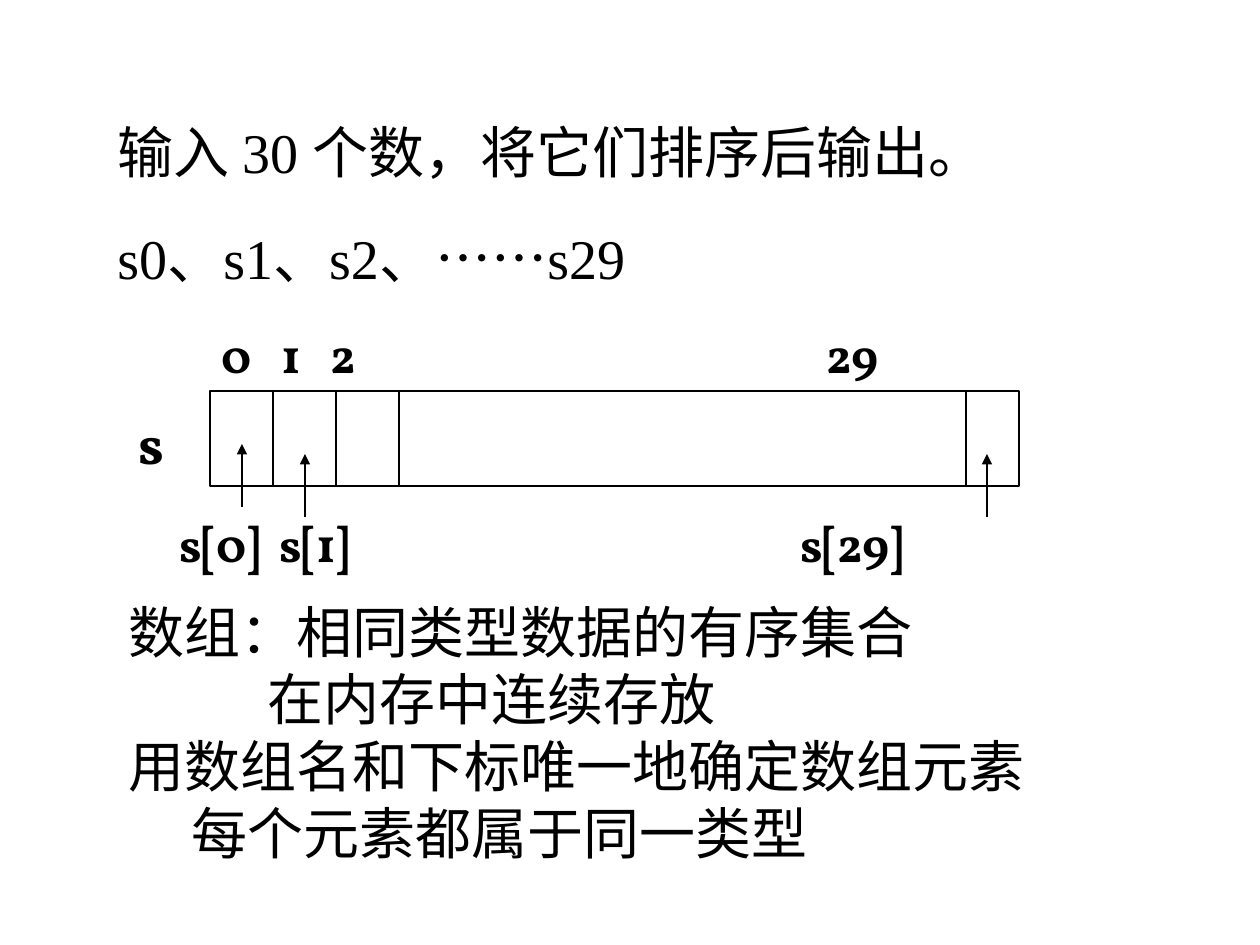
import lxml.etree
import pptx
import pptx.dml.color
import pptx.enum.shapes
import pptx.oxml.ns
import pptx.util

SCALE = 914400 / 126  # EMU in one px
BLACK = pptx.dml.color.RGBColor(0, 0, 0)
CJK_FONT = "Noto Sans CJK SC"
LABEL_FONT = "Vollkorn"
qn = pptx.oxml.ns.qn


def px(value):
    return pptx.util.Emu(round(value * SCALE))


presentation = pptx.Presentation()
presentation.slide_width, presentation.slide_height = px(1260), px(945)
slide = presentation.slides.add_slide(presentation.slide_layouts[6])


def add_text(text, left, top, width, height, font=CJK_FONT, size=32, bold=False,
             line_height=None, indents=(0,)):
    box = slide.shapes.add_textbox(px(left), px(top), px(width), px(height))
    frame = box.text_frame
    frame.word_wrap = True
    frame.text = text
    for paragraph, indent in zip(frame.paragraphs, indents):
        paragraph._p.get_or_add_pPr().set("marL", str(px(indent)))
        if line_height:
            paragraph.line_spacing = pptx.util.Pt(line_height)
        run = paragraph.runs[0]
        run.font.size = pptx.util.Pt(size)
        run.font.bold = bold
        run.font.color.rgb = BLACK
        run.font.name = font
        east_asian = lxml.etree.SubElement(run._r.get_or_add_rPr(), qn("a:ea"))
        east_asian.set("typeface", CJK_FONT)


def add_line(x, start, end, arrow=False):
    line = slide.shapes.add_connector(
        pptx.enum.shapes.MSO_CONNECTOR.STRAIGHT, px(x), px(start), px(x), px(end))
    line.line.color.rgb = BLACK
    line.line.width = pptx.util.Pt(1)
    if arrow:
        lxml.etree.SubElement(line.line._get_or_add_ln(), qn("a:tailEnd")).set("type", "triangle")
    lxml.etree.SubElement(line._element.spPr, qn("a:effectLst"))


# Problem statement and its variables
add_text("输入 30 个数，将它们排序后输出。", 105, 111, 1050, 105,
         font="Times New Roman", line_height=38.4)
add_text("s0、s1、s2、……s29", 105, 217, 1018, 105,
         font="Times New Roman", line_height=38.4)

# Array with its cell dividers
array = slide.shapes.add_shape(
    pptx.enum.shapes.MSO_SHAPE.RECTANGLE, px(210), px(391), px(809), px(95))
array.shadow.inherit = False
array.fill.background()
array.line.color.rgb = BLACK
array.line.width = pptx.util.Pt(1)
for divider_x in (273, 336, 399, 966):
    add_line(divider_x, 391, 486)

# Array name, indices above and element names below
add_text("s", 126, 402, 73, 79, font=LABEL_FONT, bold=True)
for index, left in (("0", 209), ("1", 269), ("2", 318), ("29", 814)):
    add_text(index, left, 318, 90, 71, font=LABEL_FONT, size=28, bold=True)
for element, left in (("s[0]", 167), ("s[1]", 267), ("s[29]", 788)):
    add_text(element, left, 507, 150, 71, font=LABEL_FONT, size=28, bold=True)

# Arrows from the element names to the cells
for arrow_x, start in ((242, 507), (305, 517), (987, 517)):
    add_line(arrow_x, start, start - 63, arrow=True)

# Definition of an array
definition = (
    "数组：相同类型数据的有序集合",
    "在内存中连续存放",
    "用数组名和下标唯一地确定数组元素",
    "每个元素都属于同一类型",
)
add_text("\n".join(definition), 116, 591, 1061, 281,
         line_height=38.4, indents=(0, 139, 0, 63))

presentation.save("out.pptx")
